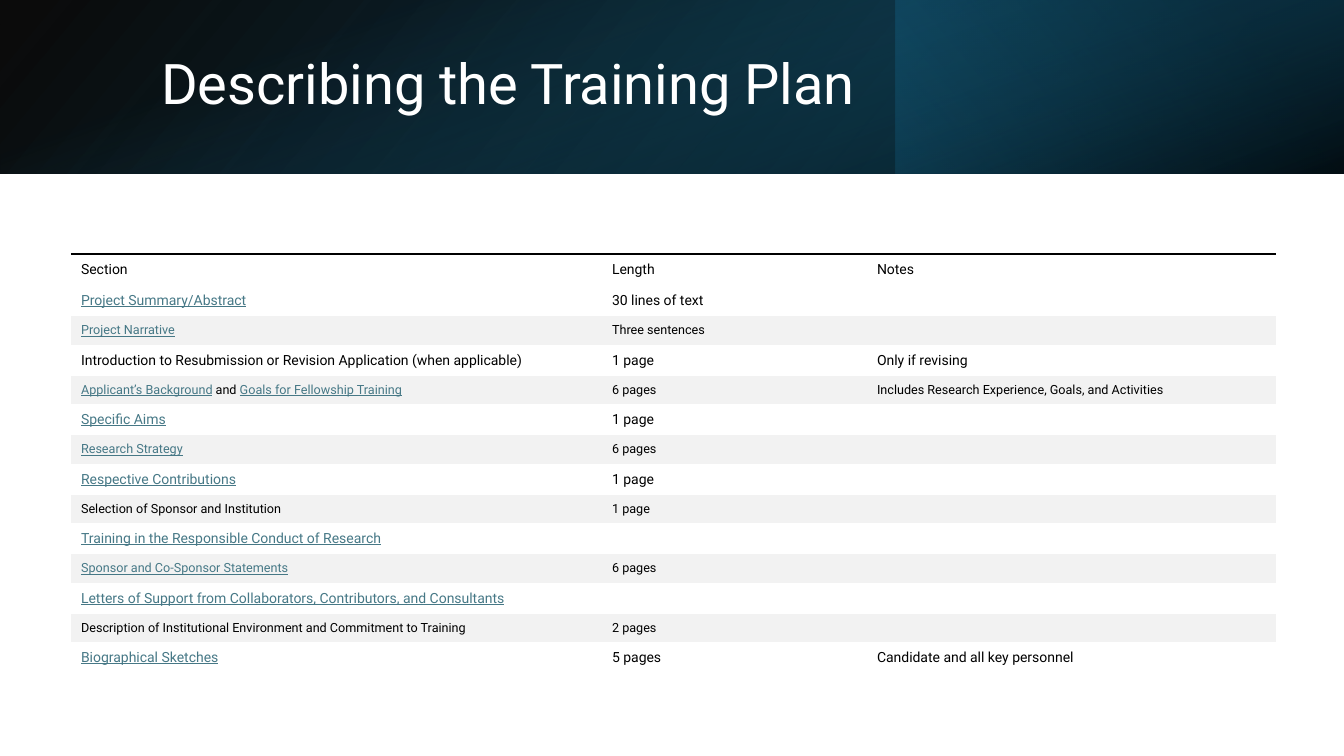
from dataclasses import dataclass

from lxml.etree import SubElement
from pptx import Presentation
from pptx.dml.color import RGBColor
from pptx.enum.shapes import MSO_SHAPE
from pptx.enum.text import MSO_ANCHOR, MSO_AUTO_SIZE, PP_ALIGN
from pptx.oxml import parse_xml
from pptx.oxml.ns import nsdecls, qn
from pptx.slide import Slide
from pptx.table import _Cell
from pptx.text.text import _Paragraph
from pptx.util import Emu, Pt

SCALE = 914400 / 100.8
WIDTH, HEIGHT, HEAD = 1344, 756, 174
FONT = "Roboto"
BLACK = RGBColor(0x00, 0x00, 0x00)
WHITE = RGBColor(0xFF, 0xFF, 0xFF)
NAVY = RGBColor(0x10, 0x48, 0x62)
DEEP = RGBColor(0x0B, 0x30, 0x41)
TEAL = RGBColor(0x15, 0x60, 0x82)
LINK = RGBColor(0x46, 0x78, 0x86)
GREY = RGBColor(0xF2, 0xF2, 0xF2)
NO_STYLE = "{2D5ABB26-0587-4C30-8999-92F81FD0307C}"


@dataclass
class Stop:
    place: int
    color: RGBColor
    alpha: int = 100


@dataclass
class Band:
    left: int
    top: int
    width: int
    height: int
    angle: int
    stops: tuple[Stop, Stop]
    turn: int = 0
    flip: bool = False


@dataclass
class Piece:
    text: str
    link: bool = False


@dataclass
class Row:
    label: tuple[Piece, ...]
    length: str = ""
    note: str = ""


BANDS = [
    Band(0, 0, WIDTH, HEAD, 140, (Stop(0, BLACK, 96), Stop(100, NAVY)), flip=True),
    Band(896, 0, 448, HEAD, 320, (Stop(19, DEEP, 68), Stop(100, TEAL, 79)), turn=180),
    Band((WIDTH - HEAD) // 2, (HEAD - WIDTH) // 2, HEAD, WIDTH, 340,
         (Stop(23, TEAL, 0), Stop(99, BLACK, 74)), turn=90),
]


def plain(text: str, length: str = "", note: str = "") -> Row:
    return Row((Piece(text),), length, note)


def linked(text: str, length: str = "", note: str = "") -> Row:
    return Row((Piece(text, True),), length, note)


ROWS = [
    plain("Section", "Length", "Notes"),
    linked("Project Summary/Abstract", "30 lines of text"),
    linked("Project Narrative", "Three sentences"),
    plain("Introduction to Resubmission or Revision Application (when applicable)",
          "1 page", "Only if revising"),
    Row((Piece("Applicant’s Background", True), Piece(" and "),
         Piece("Goals for Fellowship Training", True)),
        "6 pages", "Includes Research Experience, Goals, and Activities"),
    linked("Specific Aims", "1 page"),
    linked("Research Strategy", "6 pages"),
    linked("Respective Contributions", "1 page"),
    plain("Selection of Sponsor and Institution", "1 page"),
    linked("Training in the Responsible Conduct of Research"),
    linked("Sponsor and Co-Sponsor Statements", "6 pages"),
    linked("Letters of Support from Collaborators, Contributors, and Consultants"),
    plain("Description of Institutional Environment and Commitment to Training", "2 pages"),
    linked("Biographical Sketches", "5 pages", "Candidate and all key personnel"),
]
COLS = [531, 265, 409]


def px(count: int) -> Emu:
    return Emu(round(count * SCALE))


def write(para: _Paragraph, text: str, *, size: int, color: RGBColor = BLACK,
          under: bool = False) -> None:
    run = para.add_run()
    run.text = text
    run.font.name = FONT
    run.font.size = Pt(size)
    run.font.color.rgb = color
    run.font.underline = under


def draw_band(slide: Slide, band: Band) -> None:
    shape = slide.shapes.add_shape(MSO_SHAPE.RECTANGLE, px(band.left), px(band.top),
                                   px(band.width), px(band.height))
    shape.shadow.inherit = False
    shape.line.fill.background()
    shape.rotation = band.turn
    props = shape._element.spPr
    if band.flip:
        props.find(qn("a:xfrm")).set("flipH", "1")
    stops = "".join(
        f'<a:gs pos="{stop.place * 1000}"><a:srgbClr val="{stop.color}">'
        f'<a:alpha val="{stop.alpha * 1000}"/></a:srgbClr></a:gs>'
        for stop in band.stops)
    props.find(qn("a:prstGeom")).addnext(parse_xml(
        f'<a:gradFill {nsdecls("a")} rotWithShape="1"><a:gsLst>{stops}</a:gsLst>'
        f'<a:lin ang="{band.angle * 60000}" scaled="0"/></a:gradFill>'))


def draw_title(slide: Slide, text: str) -> None:
    title = slide.shapes.title
    title.left, title.top, title.width, title.height = map(px, (151, 38, 1107, 97))
    frame = title.text_frame
    frame.auto_size = MSO_AUTO_SIZE.NONE
    frame.word_wrap = True
    frame.vertical_anchor = MSO_ANCHOR.MIDDLE
    para = frame.paragraphs[0]
    para.alignment = PP_ALIGN.LEFT
    para.line_spacing = 0.9
    write(para, text, size=40, color=WHITE)
    slide.shapes._spTree.append(title._element)


def fill_cell(cell: _Cell, pieces: tuple[Piece, ...], shade: bool) -> None:
    size = 9 if shade else 10
    cell.vertical_anchor = MSO_ANCHOR.MIDDLE
    para = cell.text_frame.paragraphs[0]
    for piece in pieces:
        if piece.text:
            write(para, piece.text, size=size, color=LINK if piece.link else BLACK,
                  under=piece.link)
    SubElement(para._p, qn("a:endParaRPr")).set("sz", str(size * 100))
    if shade:
        cell.fill.solid()
        cell.fill.fore_color.rgb = GREY
    else:
        cell.fill.background()


def rule_top(cell: _Cell) -> None:
    cell._tc.get_or_add_tcPr().insert(0, parse_xml(
        f'<a:lnT {nsdecls("a")} w="{Pt(2.25)}"><a:solidFill>'
        f'<a:srgbClr val="{BLACK}"/></a:solidFill></a:lnT>'))


def draw_table(slide: Slide) -> None:
    tall = [31 if i % 2 or i == 0 else 29 if i % 4 == 2 else 28
            for i in range(len(ROWS))]
    table = slide.shapes.add_table(len(ROWS), len(COLS), px(71), px(254),
                                   px(sum(COLS)), px(sum(tall))).table
    table.first_row = table.horz_banding = False
    table._tbl.tblPr.find(qn("a:tableStyleId")).text = NO_STYLE
    for col, width in zip(table.columns, COLS):
        col.width = px(width)
    for i, row in enumerate(ROWS):
        table.rows[i].height = px(tall[i])
        texts = (row.label, (Piece(row.length),), (Piece(row.note),))
        for j, pieces in enumerate(texts):
            fill_cell(table.cell(i, j), pieces, i > 0 and i % 2 == 0)
    for j in range(len(COLS)):
        rule_top(table.cell(0, j))


def main() -> None:
    deck = Presentation()
    deck.slide_width, deck.slide_height = px(WIDTH), px(HEIGHT)
    slide = deck.slides.add_slide(deck.slide_layouts[5])
    for band in BANDS:
        draw_band(slide, band)
    draw_title(slide, "Describing the Training Plan")
    draw_table(slide)
    deck.save("out.pptx")


if __name__ == "__main__":
    main()
